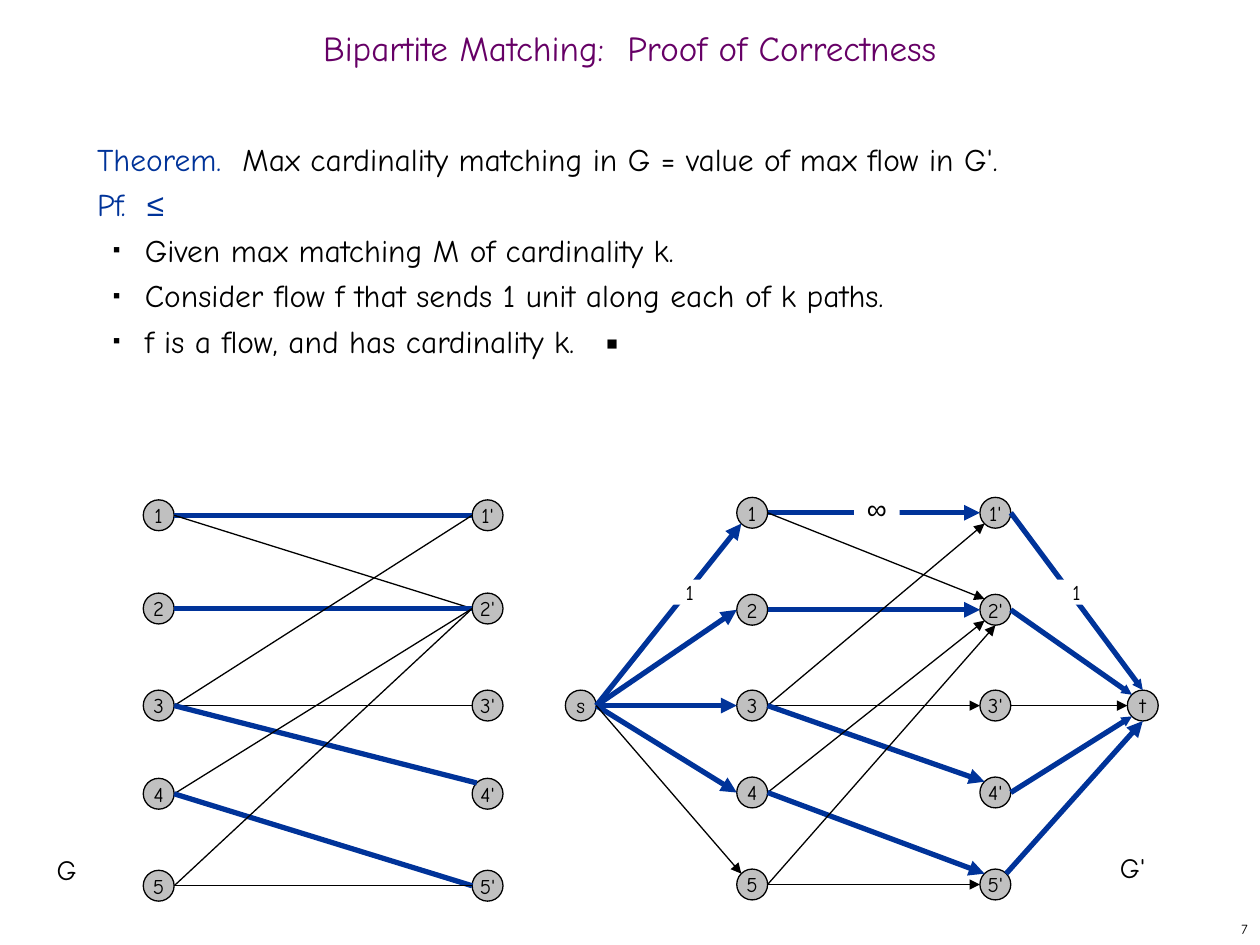
from lxml import etree
from pptx import Presentation
from pptx.dml.color import RGBColor
from pptx.enum.shapes import MSO_CONNECTOR, MSO_SHAPE
from pptx.enum.text import MSO_ANCHOR, MSO_AUTO_SIZE, PP_ALIGN
from pptx.oxml.ns import qn
from pptx.util import Inches, Pt

STRAIGHT = MSO_CONNECTOR.STRAIGHT
ELLIPSE, RECTANGLE = MSO_SHAPE.OVAL, MSO_SHAPE.RECTANGLE
TOP, MIDDLE = MSO_ANCHOR.TOP, MSO_ANCHOR.MIDDLE
LEFT, CENTER, RIGHT = PP_ALIGN.LEFT, PP_ALIGN.CENTER, PP_ALIGN.RIGHT
NO_AUTOFIT = MSO_AUTO_SIZE.NONE

COLORS = {"black": "000000", "blue": "003399", "purple": "660066",
          "gray": "C0C0C0", "white": "FFFFFF"}
FONT, SYMBOL_FONT = "Comic Neue", "Arial"
DIAMETER = 0.245
DIAGONAL = 0.7
SIDES = {"right": (1, 0), "left": (-1, 0), "top": (0, -1), "bottom": (0, 1),
         "top left": (-DIAGONAL, -DIAGONAL), "top right": (DIAGONAL, -DIAGONAL),
         "bottom left": (-DIAGONAL, DIAGONAL)}

BODY = [
    (False, [("Theorem.  ", "blue", FONT),
             ("Max cardinality matching in G = value of max flow in G'.", "black", FONT)]),
    (False, [("Pf.  ", "blue", FONT), ("≤", "blue", SYMBOL_FONT)]),
    (True, [("Given max matching M of cardinality k.", "black", FONT)]),
    (True, [("Consider flow f that sends 1 unit along each of k paths.", "black", FONT)]),
    (True, [("f is a flow, and has cardinality k.   ▪", "black", FONT)]),
]

GRAPH_EDGES = [
    ("1", "1'", True, "left"), ("1", "2'", False, "left"),
    ("2", "2'", True, "left"), ("3", "1'", False, "left"),
    ("3", "3'", False, "left"), ("3", "4'", True, "top left"),
    ("4", "2'", False, "left"), ("4", "5'", True, "left"),
    ("5", "2'", False, "left"), ("5", "5'", False, "left"),
]
FLOW_EDGES = [
    ("s", "1", True, "bottom left"), ("s", "2", True, "left"),
    ("s", "3", True, "left"), ("s", "4", True, "left"),
    ("s", "5", False, "top left"),
    ("1", "1'", True, "left"), ("1", "2'", False, "top left"),
    ("2", "2'", True, "left"), ("3", "1'", False, "bottom left"),
    ("3", "3'", False, "left"), ("3", "4'", True, "top left"),
    ("4", "2'", False, "bottom left"), ("4", "5'", True, "top left"),
    ("5", "2'", False, "bottom"), ("5", "5'", False, "left"),
    ("3'", "t", False, "left"),
]
SINK_EDGES = [("1'", "t", True, "top"), ("2'", "t", True, "top left"),
              ("4'", "t", True, "bottom left")]


def rgb(name):
    return RGBColor.from_string(COLORS[name])


def bipartite_centers(left, right, rows):
    centers = {}
    for number, y in enumerate(rows, 1):
        centers[f"{number}"] = (left, y)
        centers[f"{number}'"] = (right, y)
    return centers


class SlideBuilder:
    def __init__(self, presentation):
        self.slide = presentation.slides.add_slide(presentation.slide_layouts[1])

    def style(self, paragraph, size, color="black", font=FONT, align=LEFT):
        paragraph.alignment = align
        paragraph.font.size = Pt(size)
        paragraph.font.name = font
        paragraph.font.bold = False
        paragraph.font.color.rgb = rgb(color)

    def place(self, shape, left, top, width, height):
        shape.left, shape.top = Inches(left), Inches(top)
        shape.width, shape.height = Inches(width), Inches(height)

    def title(self, text, *box):
        shape = self.slide.shapes.title
        self.place(shape, *box)
        frame = shape.text_frame
        frame.text = text
        frame.auto_size = NO_AUTOFIT
        frame.vertical_anchor = MIDDLE
        paragraph = frame.paragraphs[0]
        paragraph.line_spacing = 0.7
        self.style(paragraph, 20, "purple", align=CENTER)

    def bullet(self, properties, shown):
        properties.set("marL", str(Inches(0.38) if shown else 0))
        properties.set("indent", str(Inches(-0.25) if shown else 0))
        if not shown:
            etree.SubElement(properties, qn("a:buNone"))
            return
        color = etree.SubElement(properties, qn("a:buClr"))
        etree.SubElement(color, qn("a:srgbClr"), val=COLORS["black"])
        etree.SubElement(properties, qn("a:buSzPct"), val="35000")
        etree.SubElement(properties, qn("a:buChar"), char="■")

    def body(self, content, *box):
        shape = self.slide.placeholders[1]
        self.place(shape, *box)
        frame = shape.text_frame
        frame.auto_size = NO_AUTOFIT
        for index, (bulleted, runs) in enumerate(content):
            paragraph = frame.paragraphs[0] if index == 0 else frame.add_paragraph()
            paragraph.level = int(bulleted)
            paragraph.line_spacing = Pt(26)
            paragraph.space_before = Pt(0)
            self.bullet(paragraph._p.get_or_add_pPr(), bulleted)
            self.style(paragraph, 18)
            for text, color, font in runs:
                run = paragraph.add_run()
                run.text = text
                run.font.name = font
                run.font.color.rgb = rgb(color)

    def text(self, text, size, *box, align=LEFT, anchor=TOP):
        shape = self.slide.shapes.add_textbox(*map(Inches, box))
        frame = shape.text_frame
        frame.text = text
        frame.word_wrap = True
        frame.vertical_anchor = anchor
        self.style(frame.paragraphs[0], size, align=align)

    def node(self, text, center):
        x, y = center
        shape = self.slide.shapes.add_shape(
            ELLIPSE, Inches(x - DIAMETER / 2), Inches(y - DIAMETER / 2),
            Inches(DIAMETER), Inches(DIAMETER))
        shape.shadow.inherit = False
        shape.fill.solid()
        shape.fill.fore_color.rgb = rgb("gray")
        shape.line.color.rgb = rgb("black")
        shape.line.width = Pt(0.75)
        frame = shape.text_frame
        frame.text = text
        frame.word_wrap = False
        frame.vertical_anchor = MIDDLE
        self.style(frame.paragraphs[0], 12, align=CENTER)

    def capacity(self, text, size, font, *box):
        shape = self.slide.shapes.add_shape(RECTANGLE, *map(Inches, box))
        shape.shadow.inherit = False
        shape.fill.solid()
        shape.fill.fore_color.rgb = rgb("white")
        shape.line.fill.background()
        frame = shape.text_frame
        frame.text = text
        frame.vertical_anchor = TOP
        frame.margin_left = frame.margin_right = 0
        frame.margin_top = frame.margin_bottom = 0
        self.style(frame.paragraphs[0], size, font=font, align=CENTER)

    def edge(self, start, end, matched, end_side, start_side="right", head=None):
        ends = []
        for (x, y), side in ((start, start_side), (end, end_side)):
            dx, dy = SIDES[side]
            ends += [Inches(x + dx * DIAMETER / 2), Inches(y + dy * DIAMETER / 2)]
        connector = self.slide.shapes.add_connector(STRAIGHT, *ends)
        connector.line.color.rgb = rgb("blue" if matched else "black")
        connector.line.width = Pt(3 if matched else 0.75)
        if head:
            etree.SubElement(connector.line._get_or_add_ln(), qn("a:tailEnd"),
                             type="triangle", w=head, len=head)
        etree.SubElement(connector._element.spPr, qn("a:effectLst"))

    def graph(self, centers, edges, head=None):
        for name, center in centers.items():
            self.node(name, center)
        self.edges(centers, edges, head)

    def edges(self, centers, edges, head):
        for start, end, matched, side in edges:
            self.edge(centers[start], centers[end], matched, side, head=head)


def main():
    presentation = Presentation()
    presentation.slide_width, presentation.slide_height = Inches(10), Inches(7.5)
    builder = SlideBuilder(presentation)
    builder.title("Bipartite Matching:  Proof of Correctness", 0, 0.17, 10, 0.5)
    builder.body(BODY, 0.67, 1, 8.58, 5.92)

    matching = bipartite_centers(1.26, 3.87, (4.09, 4.83, 5.6, 6.3, 7.03))
    builder.graph(matching, GRAPH_EDGES)

    flow = bipartite_centers(5.97, 7.9, (4.07, 4.84, 5.6, 6.29, 7.02))
    flow.update(s=(4.61, 5.6), t=(9.07, 5.6))
    builder.graph(flow, FLOW_EDGES, head="med")
    builder.edges(flow, SINK_EDGES, head="sm")
    builder.edge(flow["5'"], flow["t"], True, "bottom", "top right", "med")

    for left in (5.29, 8.36):
        builder.capacity("1", 12, FONT, left, 4.6, 0.37, 0.2)
    builder.capacity("∞", 16, SYMBOL_FONT, 6.78, 3.9, 0.36, 0.27)

    builder.text("G'", 16, 8.79, 6.7, 0.61, 0.37)
    builder.text("G", 16, 0.35, 6.72, 0.61, 0.37)
    builder.text("7", 8, 7.92, 7.25, 2.08, 0.25, align=RIGHT, anchor=MIDDLE)
    presentation.save("out.pptx")


if __name__ == "__main__":
    main()
